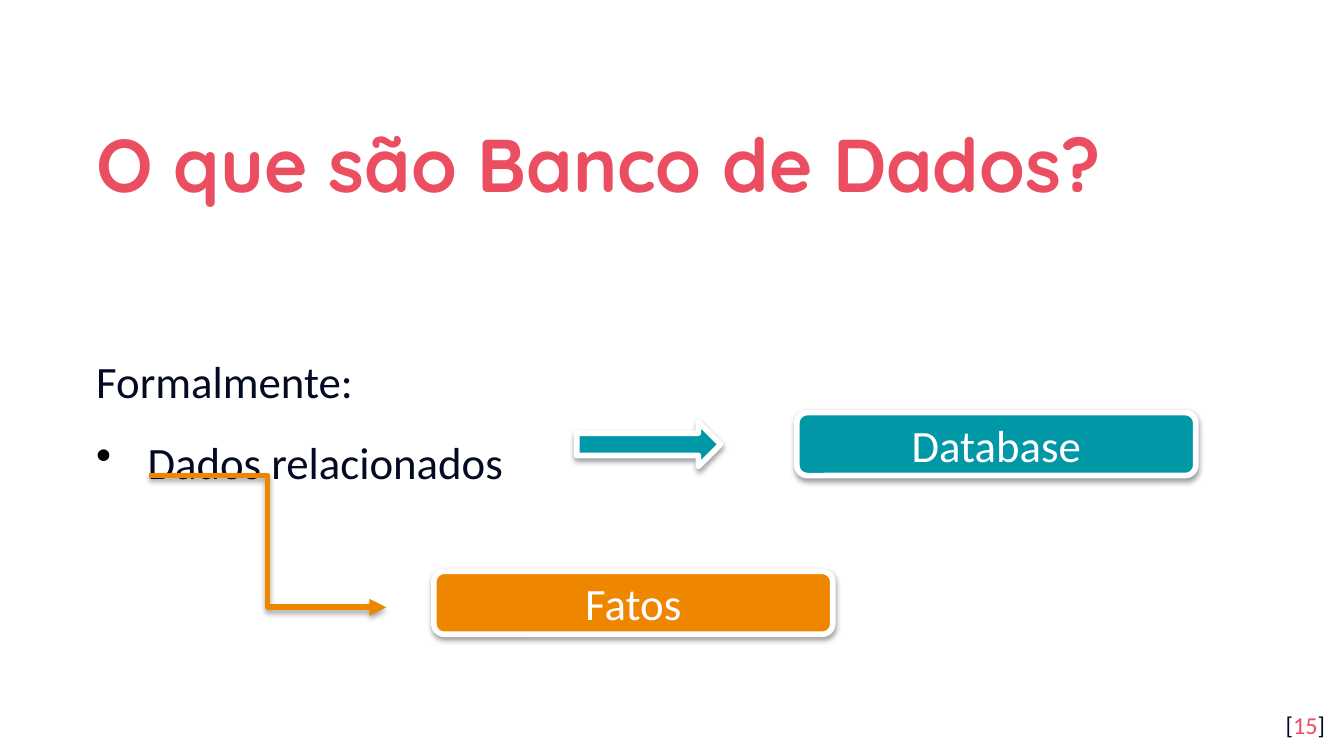
from collections import namedtuple

from lxml import etree
from pptx import Presentation
from pptx import util as u
from pptx.dml.color import RGBColor
from pptx.enum import shapes, text
from pptx.oxml.ns import qn

INK, CORAL, TEAL, ORANGE, WHITE = "040A24", "EA4E60", "0097A7", "EF8600", "FFFFFF"
BODY_FONT, TITLE_FONT = "Calibri", "Quicksand"
INSET = 0.25

Box = namedtuple("Box", "left top width height")


def color(value):
    return RGBColor.from_string(value)


def lengths(box):
    return [u.Cm(value) for value in box]


def set_font(font, size, value, name=BODY_FONT, bold=False):
    font.size = u.Pt(size)
    font.name = name
    font.bold = bold
    font.color.rgb = color(value)


def add_frame(slide, box, anchor, top_inset=INSET):
    frame = slide.shapes.add_textbox(*lengths(box)).text_frame
    frame.word_wrap = True
    frame.vertical_anchor = anchor
    frame.margin_left = frame.margin_right = frame.margin_bottom = u.Cm(INSET)
    frame.margin_top = u.Cm(top_inset)
    return frame


def add_shadow(drawn, opacity, distance):
    properties = drawn._element.spPr
    for old in properties.findall(qn("a:effectLst")):
        properties.remove(old)
    effects = etree.SubElement(properties, qn("a:effectLst"))
    shadow = etree.SubElement(
        effects, qn("a:outerShdw"), blurRad=str(u.Pt(3.1)),
        dist=str(u.Pt(distance)), dir="5400000", rotWithShape="0")
    black = etree.SubElement(shadow, qn("a:srgbClr"), val="000000")
    etree.SubElement(black, qn("a:alpha"), val=str(opacity * 1000))


def add_bullet(paragraph, indent):
    properties = paragraph._p.get_or_add_pPr()
    properties.set("marL", str(u.Cm(indent)))
    properties.set("indent", str(-u.Cm(indent)))
    bullet_color = etree.SubElement(properties, qn("a:buClr"))
    etree.SubElement(bullet_color, qn("a:srgbClr"), val="000000")
    etree.SubElement(properties, qn("a:buChar"), char="•")


def add_title(slide, box, wording):
    title = add_frame(slide, box, text.MSO_ANCHOR.MIDDLE).paragraphs[0]
    title.text = wording
    title.line_spacing = 1.15
    set_font(title.font, 40, CORAL, TITLE_FONT, True)


def add_definition(slide, box, heading, item):
    frame = add_frame(slide, box, text.MSO_ANCHOR.TOP, 2.43)
    intro, point = frame.paragraphs[0], frame.add_paragraph()
    intro.text, point.text = heading, item
    point.space_before = u.Pt(10)
    add_bullet(point, 0.97)
    for paragraph in (intro, point):
        paragraph.alignment = text.PP_ALIGN.JUSTIFY
        paragraph.line_spacing = 1.15
        set_font(paragraph.font, 24, INK)


def add_page_number(slide, box, number):
    paragraph = add_frame(slide, box, text.MSO_ANCHOR.TOP).paragraphs[0]
    paragraph.alignment = text.PP_ALIGN.RIGHT
    for part, value in (("[", INK), (number, CORAL), ("]", INK)):
        run = paragraph.add_run()
        run.text = part
        set_font(run.font, 13, value)


def add_block(slide, box, kind, fill):
    block = slide.shapes.add_shape(kind, *lengths(box))
    block.fill.solid()
    block.fill.fore_color.rgb = color(fill)
    block.line.color.rgb = color(WHITE)
    block.line.width = u.Pt(3)
    add_shadow(block, 38, 1.6)
    return block


def add_label(slide, box, wording, fill):
    label = add_block(slide, box, shapes.MSO_SHAPE.ROUNDED_RECTANGLE, fill)
    label.text_frame.vertical_anchor = text.MSO_ANCHOR.MIDDLE
    paragraph = label.text_frame.paragraphs[0]
    paragraph.text = wording
    paragraph.alignment = text.PP_ALIGN.CENTER
    set_font(paragraph.font, 24, WHITE)


def add_elbow(slide, box, value):
    elbow = slide.shapes.add_connector(
        shapes.MSO_CONNECTOR.ELBOW, u.Cm(box.left), u.Cm(box.top),
        u.Cm(box.left + box.width), u.Cm(box.top + box.height))
    elbow.line.color.rgb = color(value)
    elbow.line.width = u.Pt(3)
    etree.SubElement(elbow.line._get_or_add_ln(), qn("a:tailEnd"), type="triangle")
    add_shadow(elbow, 35, 1.8)


def add_diagram(slide, box):
    def inside(left, top, width, height):
        return Box(box.left + left, box.top + top, width, height)

    add_label(slide, inside(12.24, 0, 7.54, 1.19), "Database", TEAL)
    add_block(slide, inside(8.08, 0.18, 2.72, 0.84),
              shapes.MSO_SHAPE.RIGHT_ARROW, TEAL)
    add_elbow(slide, inside(0, 1.19, 4.48, 2.49), ORANGE)
    add_label(slide, inside(5.38, 3, 7.54, 1.19), "Fatos", ORANGE)


def main():
    deck = Presentation()
    deck.slide_width, deck.slide_height = u.Cm(25.4), u.Cm(14.29)
    slide = deck.slides.add_slide(deck.slide_layouts[6])
    add_definition(slide, Box(1.57, 4.11, 22.28, 8.56),
                   "Formalmente:", "Dados relacionados")
    add_title(slide, Box(1.57, 1.78, 22.28, 2.34), "O que são Banco de Dados?")
    add_page_number(slide, Box(23.77, 13.18, 1.52, 1.09), "15")
    add_diagram(slide, Box(2.82, 7.8, 19.78, 4.19))
    deck.save("out.pptx")


if __name__ == "__main__":
    main()
